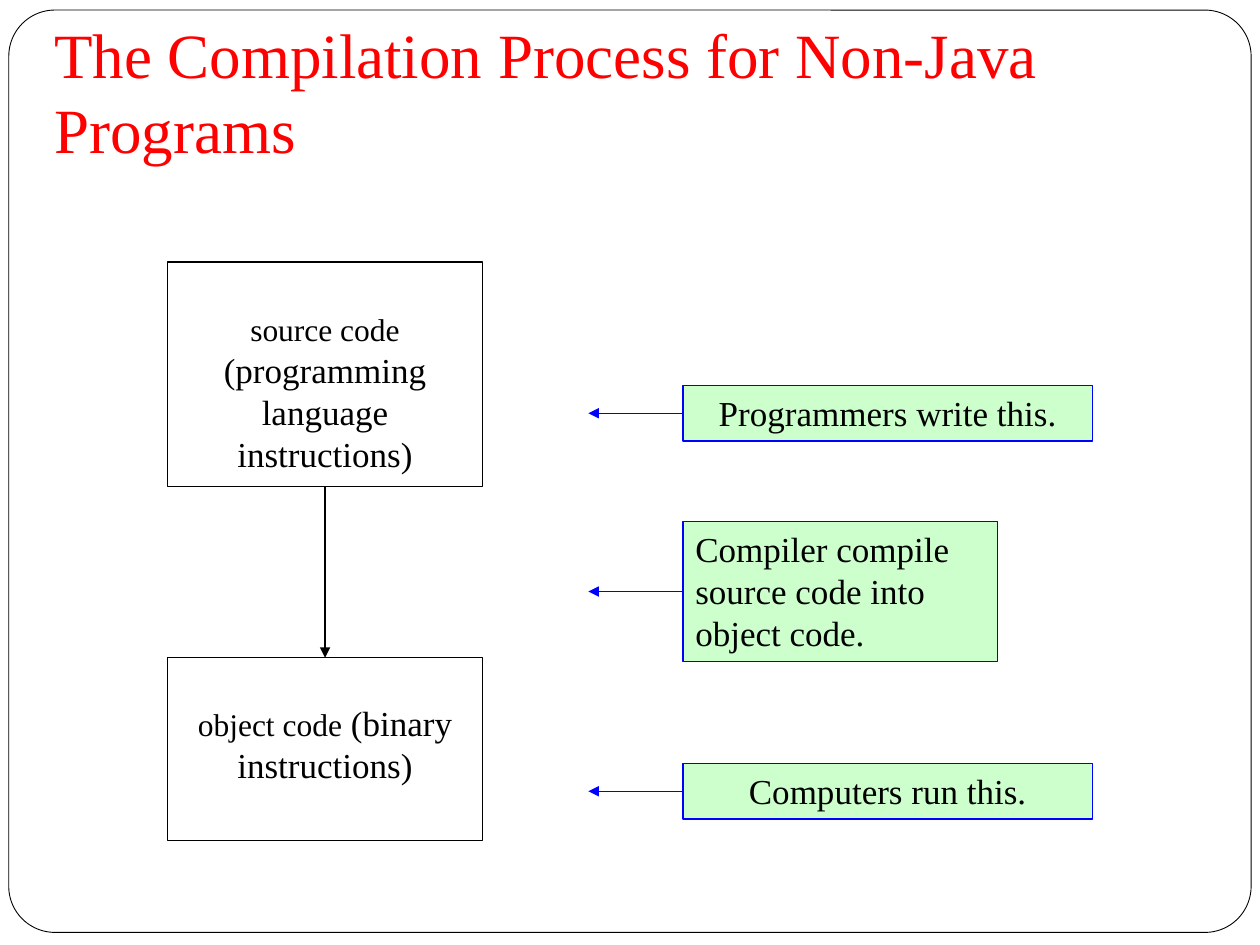
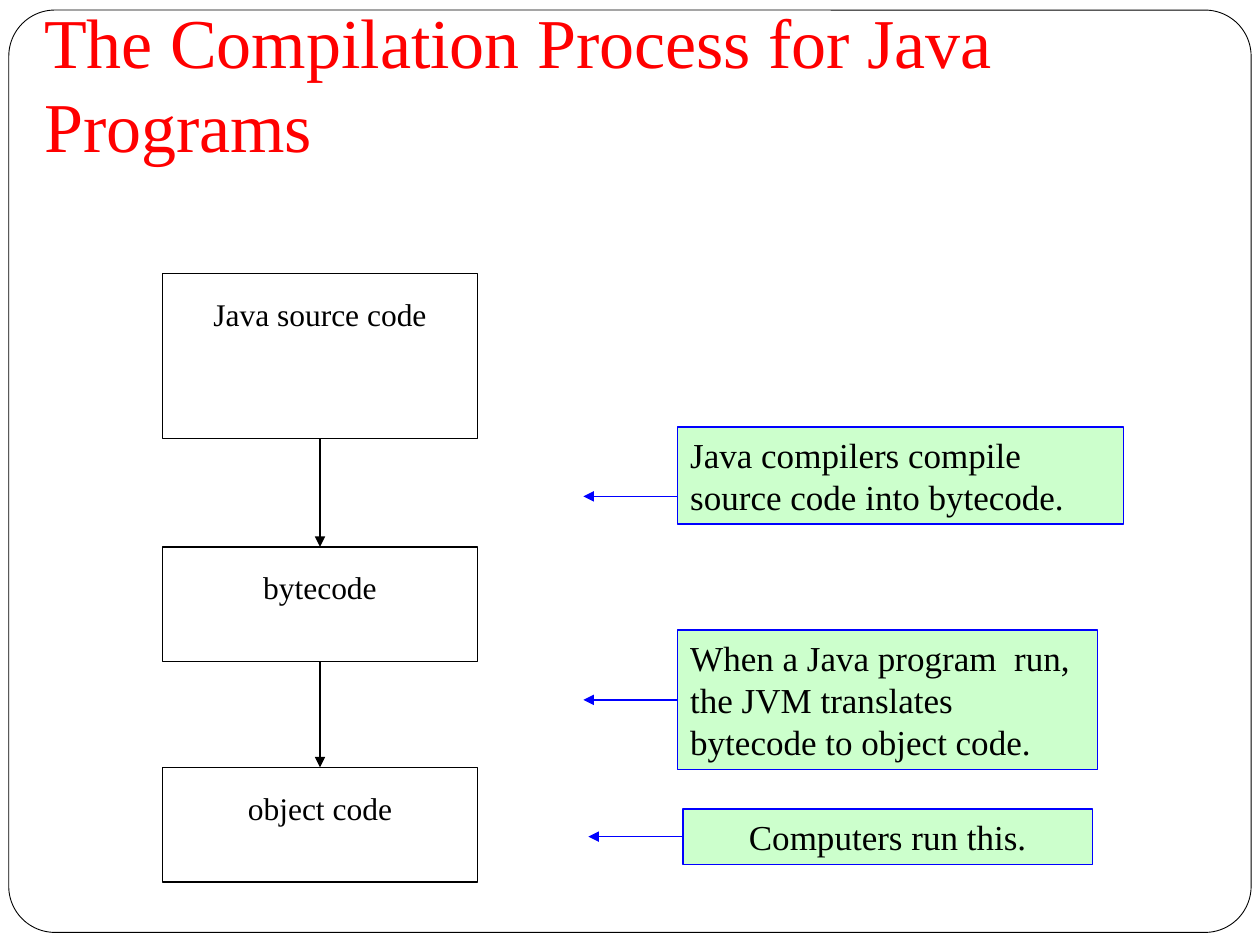
from lxml import etree
from pptx import Presentation
from pptx.dml.color import RGBColor
from pptx.enum.shapes import MSO_CONNECTOR, MSO_SHAPE
from pptx.enum.text import MSO_ANCHOR, MSO_AUTO_SIZE, PP_ALIGN
from pptx.oxml.ns import qn
from pptx.util import Inches, Pt

STRAIGHT = MSO_CONNECTOR.STRAIGHT
RECTANGLE, ROUNDED = MSO_SHAPE.RECTANGLE, MSO_SHAPE.ROUNDED_RECTANGLE
TOP, BOTTOM = MSO_ANCHOR.TOP, MSO_ANCHOR.BOTTOM
LEFT, CENTER = PP_ALIGN.LEFT, PP_ALIGN.CENTER
TOP_SIDE, LEFT_SIDE, BOTTOM_SIDE = 0, 1, 2

FONT = "Times New Roman"
BLACK, WHITE, RED, BLUE, MINT = "000000", "FFFFFF", "FF0000", "0000FF", "CCFFCC"
TITLE_RIGHT = 9.83
STAGE_WIDTH = 2.5
STAGE_SIZE, NOTE_SIZE = 18, 20
POINTER_LENGTH = 0.75

# stages: top, height, runs of (text, size)
# notes: left, top, width, height, alignment, text, pointer height (None = middle)
SLIDES = [
    {
        "title": "The Compilation Process for Non-Java Programs",
        "title_left": 0.33, "title_size": 36,
        "stage_left": 1.33, "stage_inset": 0.35,
        "stages": [
            (2.08, 1.78, [("source code", STAGE_SIZE),
                          (" (programming language instructions)", NOTE_SIZE)]),
            (5.22, 1.45, [("object code", STAGE_SIZE),
                          (" (binary instructions)", NOTE_SIZE)]),
        ],
        "notes": [
            (5.42, 3.06, 3.25, 0.44, CENTER, "Programmers write this.", None),
            (5.42, 4.14, 2.5, 1.11, LEFT,
             "Compiler compile source code into object code.", None),
            (5.42, 6.06, 3.25, 0.44, CENTER, "Computers run this.", None),
        ],
    },
    {
        "title": "The Compilation Process for Java Programs",
        "title_left": 0.25, "title_size": 40,
        "stage_left": 1.29, "stage_inset": 0.17,
        "stages": [
            (2.17, 1.31, [("Java source code", STAGE_SIZE)]),
            (4.34, 0.91, [("bytecode", STAGE_SIZE)]),
            (6.09, 0.91, [("object code", STAGE_SIZE)]),
        ],
        "notes": [
            (5.38, 3.39, 3.54, 0.77, LEFT,
             "Java compilers compile source code into bytecode.", 3.94),
            (5.38, 5, 3.33, 1.11, LEFT,
             "When a Java program  run, the JVM translates bytecode to object code.", None),
            (5.42, 6.42, 3.25, 0.44, CENTER, "Computers run this.", None),
        ],
    },
]


def color(value):
    return RGBColor.from_string(value)


def add_box(slide, preset, bounds, fill, line, line_width=0.75):
    shape = slide.shapes.add_shape(preset, *map(Inches, bounds))
    shape.shadow.inherit = False
    if fill:
        shape.fill.solid()
        shape.fill.fore_color.rgb = color(fill)
    else:
        shape.fill.background()
    shape.line.color.rgb = color(line)
    shape.line.width = Pt(line_width)
    return shape


def write_text(shape, runs, alignment, text_color, anchor, top=0.05, bottom=0.05):
    frame = shape.text_frame
    frame.word_wrap = True
    frame.auto_size = MSO_AUTO_SIZE.NONE
    frame.vertical_anchor = anchor
    frame.margin_left = frame.margin_right = Inches(0.1)
    frame.margin_top, frame.margin_bottom = Inches(top), Inches(bottom)
    paragraph = frame.paragraphs[0]
    paragraph.alignment = alignment
    paragraph.font.name = FONT
    paragraph.font.color.rgb = color(text_color)
    for text, size in runs:
        run = paragraph.add_run()
        run.text = text
        run.font.size = Pt(size)


def add_arrow(slide, line, start=(0, 0), end=(0, 0)):
    arrow = slide.shapes.add_connector(STRAIGHT, *map(Inches, (*start, *end)))
    arrow.line.color.rgb = color(line)
    arrow.line.width = Pt(0.75)
    properties = arrow.element.spPr
    etree.SubElement(properties.find(qn("a:ln")), qn("a:tailEnd"), type="triangle")
    etree.SubElement(properties, qn("a:effectLst"))
    return arrow


def add_frame_to_layout(slide):
    """Draw the rounded border and move it behind everything on the layout."""
    border = add_box(slide, ROUNDED, (0.07, 0.08, 9.86, 7.32), WHITE, BLACK, 0.5)
    border.adjustments[0] = 0.05
    border.element.nvSpPr.cNvPr.set("id", "100")
    slide.slide_layout.shapes.element.insert(2, border.element)


def add_title(slide, content):
    title = slide.shapes.title
    left = content["title_left"]
    title.left, title.top = Inches(left), Inches(0.55)
    title.width, title.height = Inches(TITLE_RIGHT - left), Inches(0.87)
    write_text(title, [(content["title"], content["title_size"])],
               LEFT, RED, BOTTOM, bottom=0.1)


def add_stages(slide, content):
    previous = None
    for top, height, runs in content["stages"]:
        stage = add_box(slide, RECTANGLE,
                        (content["stage_left"], top, STAGE_WIDTH, height), None, BLACK)
        write_text(stage, runs, CENTER, BLACK, TOP, top=content["stage_inset"], bottom=0)
        if previous:
            arrow = add_arrow(slide, BLACK)
            arrow.begin_connect(previous, BOTTOM_SIDE)
            arrow.end_connect(stage, TOP_SIDE)
        previous = stage


def add_notes(slide, content):
    for left, top, width, height, alignment, text, pointer_y in content["notes"]:
        note = add_box(slide, RECTANGLE, (left, top, width, height), MINT, BLUE)
        write_text(note, [(text, NOTE_SIZE)], alignment, BLACK, TOP)
        y = pointer_y or top + height / 2
        pointer = add_arrow(slide, BLUE, (left, y), (left - POINTER_LENGTH, y))
        if pointer_y is None:
            pointer.begin_connect(note, LEFT_SIDE)


def main():
    presentation = Presentation()
    presentation.slide_width, presentation.slide_height = Inches(10), Inches(7.5)
    title_only = presentation.slide_layouts[5]
    for content in SLIDES:
        slide = presentation.slides.add_slide(title_only)
        add_title(slide, content)
        add_stages(slide, content)
        add_notes(slide, content)
    add_frame_to_layout(slide)
    presentation.save("out.pptx")


if __name__ == "__main__":
    main()
